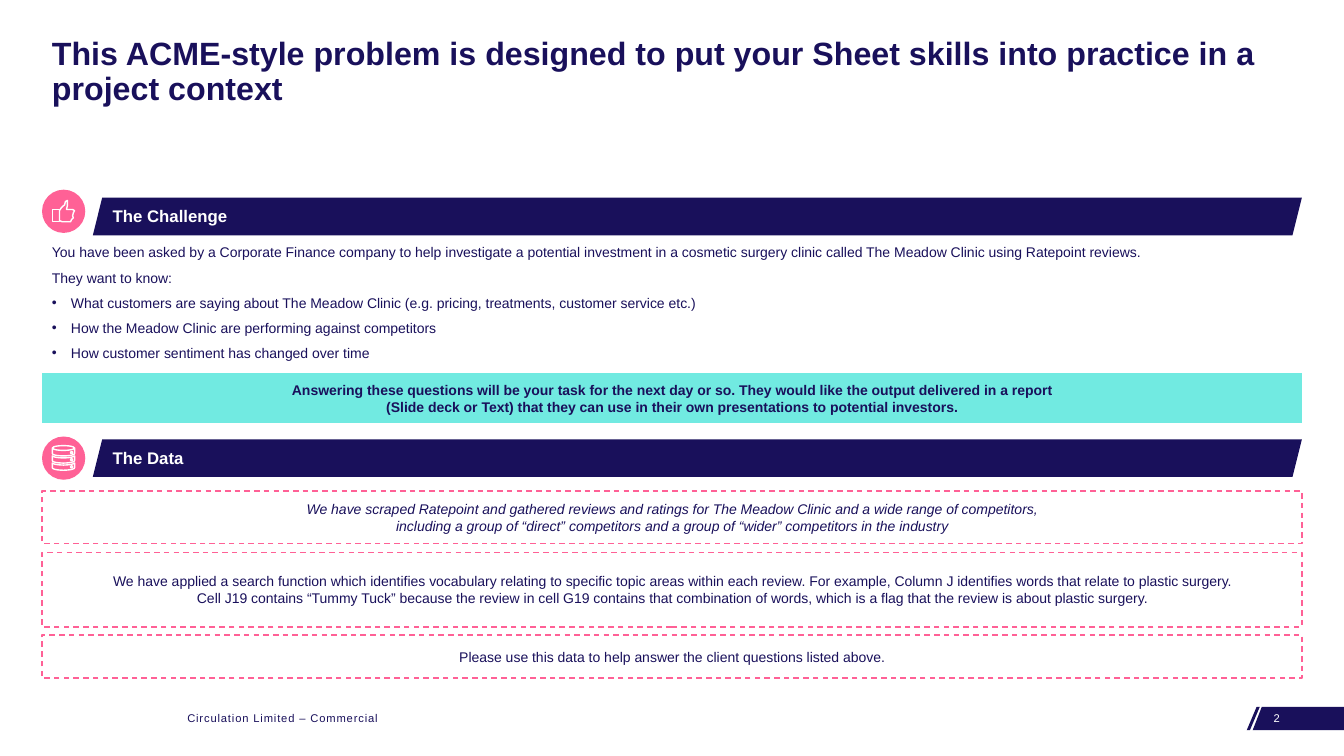
from dataclasses import dataclass
from math import cos, pi, sin

from lxml import etree
from pptx import Presentation
from pptx import util as u
from pptx.dml.color import RGBColor
from pptx.enum import dml, shapes, text
from pptx.oxml.ns import qn


@dataclass(frozen=True)
class Theme:
    font: str = "Arial"
    navy: str = "19105B"
    pink: str = "FF6196"
    teal: str = "71EAE1"
    white: str = "FFFFFF"
    title: int = 23
    header: int = 12
    body: int = 10
    small: int = 8
    left: float = 1.06
    width: float = 31.75


class Deck:
    def __init__(self, prs, theme):
        self.theme = theme
        self.s = prs.slides.add_slide(prs.slide_layouts[6])

    def paint(self, sp, fill=None, line=None, dash=None):
        sp.shadow.inherit = False
        if fill:
            sp.fill.solid()
            sp.fill.fore_color.rgb = RGBColor.from_string(fill)
        else:
            sp.fill.background()
        if line:
            sp.line.color.rgb = RGBColor.from_string(line)
            sp.line.width = u.Pt(1)
            sp.line.dash_style = dash
        else:
            sp.line.fill.background()
        return sp

    def shape(self, kind, box, **style):
        sp = self.s.shapes.add_shape(kind, *map(u.Cm, box))
        return self.paint(sp, **style)

    def outline(self, points, close=True, **style):
        points = [(u.Cm(x), u.Cm(y)) for x, y in points]
        builder = self.s.shapes.build_freeform(*points[0])
        builder.add_line_segments(points[1:], close=close)
        return self.paint(builder.convert_to_shape(), **style)

    def set_text(self, sp, lines, size, color=None, align=None, anchor=text.MSO_ANCHOR.TOP,
                 spacing=None, after=0, bullets_from=None, track=None, **font):
        tf = sp.text_frame
        tf.word_wrap = True
        tf.vertical_anchor = anchor
        font = {"name": self.theme.font, "size": u.Pt(size), **font}
        para = {"alignment": align, "line_spacing": spacing, "space_after": u.Pt(after)}
        for i, line in enumerate(lines):
            p = tf.paragraphs[0] if i == 0 else tf.add_paragraph()
            p.text = line
            for key, value in para.items():
                setattr(p, key, value)
            if bullets_from is not None and i >= bullets_from:
                self.bullet(p)
            for br in p._p.findall(qn("a:br")):
                etree.SubElement(br, qn("a:rPr"), sz=str(size * 100))
            for r in p.runs:
                for key, value in font.items():
                    setattr(r.font, key, value)
                r.font.color.rgb = RGBColor.from_string(color or self.theme.navy)
                if track:
                    r._r.get_or_add_rPr().set("spc", str(track))

    def bullet(self, p):
        pPr = p._p.get_or_add_pPr()
        indent = u.Cm(0.48)
        pPr.set("marL", str(indent))
        pPr.set("indent", str(-indent))
        etree.SubElement(pPr, qn("a:buFont"), typeface=self.theme.font)
        etree.SubElement(pPr, qn("a:buChar"), char="•")

    def label(self, box, lines, size, **style):
        self.set_text(self.s.shapes.add_textbox(*map(u.Cm, box)), lines, size, **style)

    def banner(self, kind, top, height, line, fill, border=None, **font):
        t = self.theme
        sp = self.shape(kind, (t.left, top, t.width, height), fill=fill, line=border,
                        dash=dml.MSO_LINE.DASH if border else None)
        self.set_text(sp, [line], t.body, align=text.PP_ALIGN.CENTER,
                      anchor=text.MSO_ANCHOR.MIDDLE, **font)
        return sp

    def section(self, title, top, badge_top):
        t = self.theme
        self.shape(shapes.MSO_SHAPE.OVAL, (t.left, badge_top, 1.09, 1.09), fill=t.pink)
        self.shape(shapes.MSO_SHAPE.PARALLELOGRAM, (2.34, top, 30.47, 0.95), fill=t.navy)
        self.label((2.59, top + 0.08, 16.94, 0.76), [title], t.header, color=t.white, bold=True)

    def thumb_icon(self):
        white = self.theme.white
        hand = [(1.88, 5.31), (1.83, 5.28), (1.68, 5.28), (1.68, 5.26), (1.7, 5.18),
                (1.7, 5.05), (1.65, 5.08), (1.63, 5.16), (1.55, 5.23), (1.5, 5.31),
                (1.5, 5.56), (1.57, 5.59), (1.78, 5.59), (1.8, 5.54), (1.85, 5.49),
                (1.83, 5.44), (1.85, 5.36)]
        self.outline(hand, line=white)
        self.shape(shapes.MSO_SHAPE.RECTANGLE, (1.32, 5.28, 0.18, 0.3), line=white)

    def database_icon(self):
        white, oval = self.theme.white, shapes.MSO_SHAPE.OVAL
        middle, rx, ry, top, step = 1.6, 0.28, 0.06, 11.23, 0.18

        def arc(y):
            return [(middle + rx * cos(k * pi / 12), y + ry * sin(k * pi / 12)) for k in range(13)]

        self.shape(oval, (middle - rx, top, 2 * rx, 2 * ry), line=white)
        for disk in range(3):
            y = top + disk * step
            side = y + 0.07
            wall = [(middle + rx, side), *arc(y + 0.2), (middle - rx, side)]
            self.outline(wall, close=False, line=white)
            self.shape(oval, (1.78, y + 0.15, 0.05, 0.05), line=white)
            if disk:
                self.outline(arc(y + 0.07), close=False, line=white)

    def footer(self):
        t = self.theme
        top, bottom = 17.81, 18.4
        for a, b, c, d in [(31.75, 31.67, 31.42, 31.5), (33.87, 31.8, 31.57, 33.87)]:
            self.outline([(a, top), (b, top), (c, bottom), (d, bottom)], fill=t.navy)
        self.label((4.47, top, 5.56, 0.61), ["Circulation Limited – Commercial"], t.small, track=60)
        self.label((31.85, top, 1.57, 0.61), ["2"], t.small, color=t.white)


def main():
    prs = Presentation()
    prs.slide_width, prs.slide_height = u.Cm(33.87), u.Cm(19.05)
    t = Theme()
    deck = Deck(prs, t)
    rect, slanted = shapes.MSO_SHAPE.RECTANGLE, shapes.MSO_SHAPE.PARALLELOGRAM

    deck.footer()
    deck.label((t.left, 0.5, t.width, 2.67),
               ["This ACME-style problem is designed to put your Sheet skills into practice "
                "in a project context"],
               t.title, anchor=text.MSO_ANCHOR.MIDDLE, spacing=0.9, bold=True)

    deck.section("The Challenge", 4.98, 4.78)
    deck.thumb_icon()
    deck.label((t.left, 6.02, 31.8, 3.25), [
        "You have been asked by a Corporate Finance company to help investigate a potential "
        "investment in a cosmetic surgery clinic called The Meadow Clinic using Ratepoint reviews.",
        "They want to know:",
        "What customers are saying about The Meadow Clinic (e.g. pricing, treatments, "
        "customer service etc.)",
        "How the Meadow Clinic are performing against competitors",
        "How customer sentiment has changed over time",
    ], t.body, after=6, bullets_from=2)
    task = deck.banner(
        slanted, 9.4, 1.27,
        "Answering these questions will be your task for the next day or so. They would like "
        "the output delivered in a report\n(Slide deck or Text) that they can use in their own "
        "presentations to potential investors.", t.teal, bold=True)
    task.adjustments[0] = 0

    deck.section("The Data", 11.07, 11)
    deck.database_icon()
    notes = [
        (12.37, 1.32, True,
         "We have scraped Ratepoint and gathered reviews and ratings for The Meadow Clinic and "
         "a wide range of competitors,\nincluding a group of “direct” competitors and a group "
         "of “wider” competitors in the industry"),
        (13.92, 1.88, False,
         "We have applied a search function which identifies vocabulary relating to specific "
         "topic areas within each review. For example, Column J identifies words that relate "
         "to plastic surgery.\nCell J19 contains “Tummy Tuck” because the review in cell G19 "
         "contains that combination of words, which is a flag that the review is about "
         "plastic surgery."),
        (16, 1.09, False, "Please use this data to help answer the client questions listed above."),
    ]
    for top, height, italic, line in notes:
        deck.banner(rect, top, height, line, t.white, t.pink, italic=italic)

    prs.save("out.pptx")


if __name__ == "__main__":
    main()
